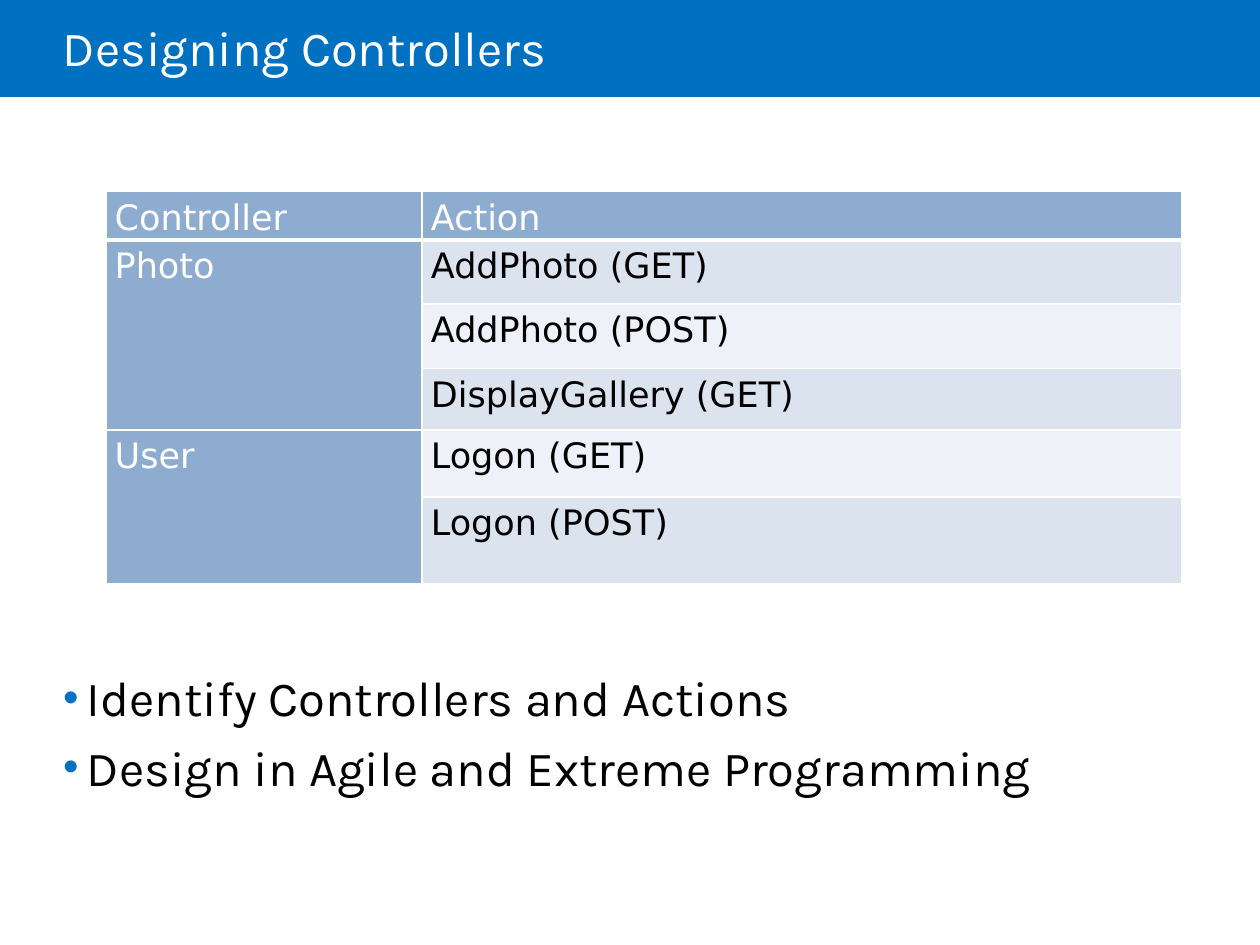
from lxml.etree import SubElement
from pptx import Presentation
from pptx.dml.color import RGBColor
from pptx.enum.shapes import MSO_SHAPE
from pptx.enum.text import MSO_ANCHOR
from pptx.oxml.ns import qn
from pptx.util import Inches, Pt

WIDTH, HEIGHT = 10, 7.5
LEFT_MARGIN = 0.05 * WIDTH
BLUE, HEADER_FILL = "0070C0", "8DACD0"
BAND_FILLS = ("DBE3EE", "EEF1F7")
COLUMN_WIDTHS = (2.51, 6.03)
ROW_HEIGHTS = (0.34, 0.51, 0.51, 0.49, 0.53, 0.69)
CONTROLLERS = {
    "Photo": ("AddPhoto (GET)", "AddPhoto (POST)", "DisplayGallery (GET)"),
    "User": ("Logon (GET)", "Logon (POST)"),
}
BULLETS = ("Identify Controllers and Actions", "Design in Agile and Extreme Programming")


def color(value):
    return RGBColor.from_string(value)


def write(para, text, font="Karla", size=28, fill="000000", line_spacing=1.0, space_before=0):
    para.line_spacing = line_spacing
    para.space_before = Pt(space_before)
    span = para.add_run()
    span.text = text
    span.font.name = font
    span.font.size = Pt(size)
    span.font.color.rgb = color(fill)


def add_bullet(para, indent=0.19):
    properties = para._p.get_or_add_pPr()
    properties.set("marL", str(Inches(indent)))
    properties.set("indent", str(-Inches(indent)))
    bullet_color = SubElement(properties, qn("a:buClr"))
    SubElement(bullet_color, qn("a:srgbClr"), val=BLUE)
    SubElement(properties, qn("a:buSzPct"), val="90000")
    SubElement(properties, qn("a:buFont"), typeface="Arial")
    SubElement(properties, qn("a:buChar"), char="•")


def add_frame(page, left, top, width, height, margins, anchor=MSO_ANCHOR.TOP):
    box = page.shapes.add_textbox(*map(Inches, (left, top, width, height)))
    frame = box.text_frame
    frame.word_wrap = True
    frame.vertical_anchor = anchor
    (frame.margin_left, frame.margin_top,
     frame.margin_right, frame.margin_bottom) = map(Inches, margins)
    return frame


def add_title(page, text):
    band = page.shapes.add_shape(MSO_SHAPE.RECTANGLE, 0, 0, Inches(WIDTH), Inches(0.77))
    band.shadow.inherit = False
    band.fill.solid()
    band.fill.fore_color.rgb = color(BLUE)
    band.line.fill.background()
    frame = add_frame(page, LEFT_MARGIN, 0, 8.5, 0.81, (0, 0.05, 0.1, 0.05), MSO_ANCHOR.MIDDLE)
    write(frame.paragraphs[0], text, fill="FFFFFF", line_spacing=0.85)


def add_bullets(page, lines):
    frame = add_frame(page, LEFT_MARGIN, 5.3, 8.88, 1.44, (0, 0, 0, 0))
    for index, line in enumerate(lines):
        para = frame.add_paragraph() if index else frame.paragraphs[0]
        add_bullet(para)
        write(para, line, space_before=6 if index else 0)


def style_cell(cell, fill, bottom_width=1):
    cell.margin_left = cell.margin_right = Inches(0.07)
    cell.margin_top = cell.margin_bottom = 0
    properties = cell._tc.get_or_add_tcPr()
    for side, width in (("L", 1), ("R", 1), ("T", 1), ("B", bottom_width)):
        border = SubElement(properties, qn(f"a:ln{side}"), w=str(Pt(width)))
        line_fill = SubElement(border, qn("a:solidFill"))
        SubElement(line_fill, qn("a:srgbClr"), val="FFFFFF")
    cell.fill.solid()
    cell.fill.fore_color.rgb = color(fill)


def write_cell(cell, text, fill):
    write(cell.text_frame.paragraphs[0], text, font="DejaVu Sans", size=20,
          fill=fill, line_spacing=1.15)


def add_controller_table(page):
    table = page.shapes.add_table(
        len(ROW_HEIGHTS), len(COLUMN_WIDTHS), Inches(0.84), Inches(1.52),
        Inches(sum(COLUMN_WIDTHS)), Inches(sum(ROW_HEIGHTS))).table
    table.horz_banding = False
    for column, width in zip(table.columns, COLUMN_WIDTHS):
        column.width = Inches(width)
    for row, height in zip(table.rows, ROW_HEIGHTS):
        row.height = Inches(height)
    for index, heading in enumerate(("Controller", "Action")):
        style_cell(table.cell(0, index), HEADER_FILL, bottom_width=3)
        write_cell(table.cell(0, index), heading, "FFFFFF")

    first = 1
    for controller, actions in CONTROLLERS.items():
        for row, action in enumerate(actions, first):
            style_cell(table.cell(row, 0), HEADER_FILL)
            style_cell(table.cell(row, 1), BAND_FILLS[(row - 1) % 2])
            write_cell(table.cell(row, 1), action, "000000")
        write_cell(table.cell(first, 0), controller, "FFFFFF")
        table.cell(first, 0).merge(table.cell(first + len(actions) - 1, 0))
        first += len(actions)


def main():
    deck = Presentation()
    deck.slide_width, deck.slide_height = Inches(WIDTH), Inches(HEIGHT)
    page = deck.slides.add_slide(deck.slide_layouts[6])
    add_title(page, "Designing Controllers")
    add_bullets(page, BULLETS)
    add_controller_table(page)
    deck.save("out.pptx")


if __name__ == "__main__":
    main()
